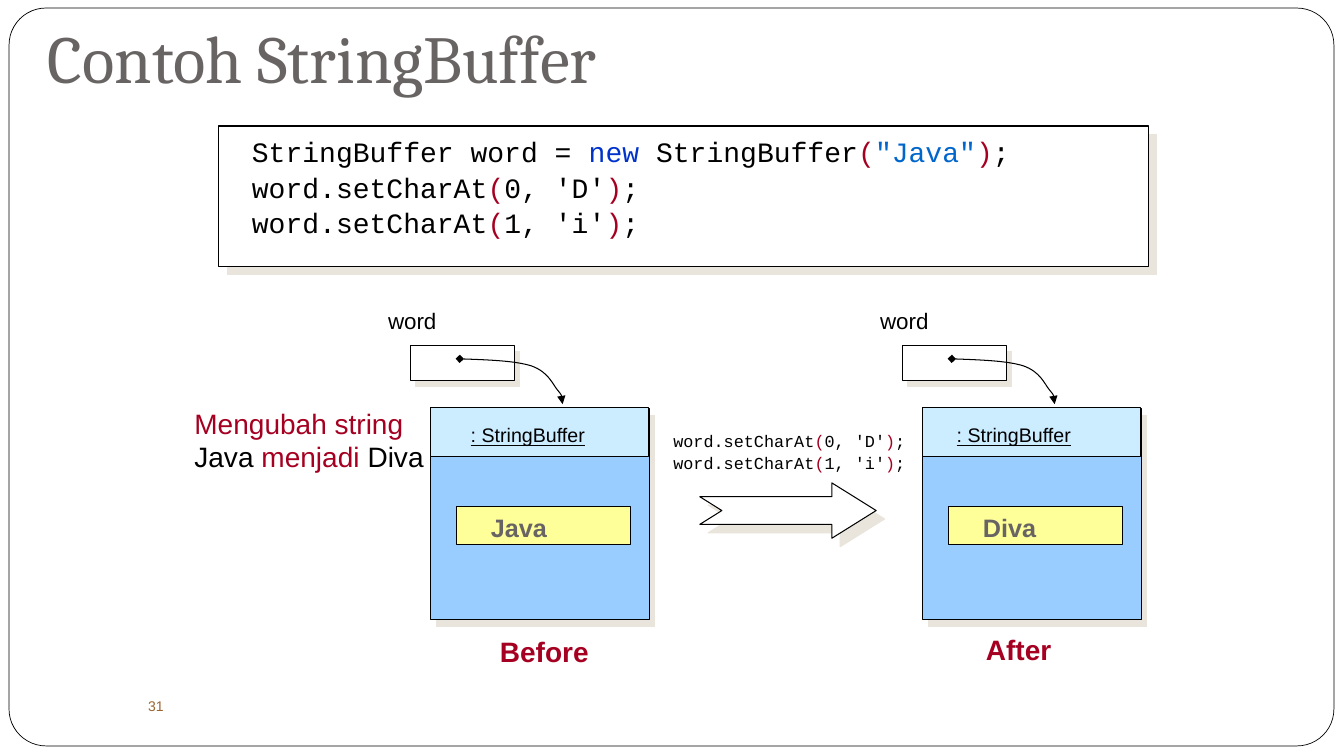
from dataclasses import dataclass
from typing import Any, NamedTuple, Optional

from lxml.etree import SubElement
from pptx import Presentation
from pptx.dml.color import RGBColor
from pptx.enum.shapes import MSO_SHAPE as Preset
from pptx.enum.text import MSO_ANCHOR as Anchor, MSO_AUTO_SIZE as AutoSize, PP_ALIGN as Align
from pptx.oxml.ns import qn
from pptx.util import Inches, Pt

COLORS = {
    "white": "FFFFFF", "black": "000000", "grey": "696464", "brown": "996633",
    "red": "A50021", "keyword": "0033CC", "string": "0066CC", "shadow": "E9E5DC",
    "body": "99CCFF", "header": "CCECFF", "field": "FFFF99",
}
GRID_COLS, GRID_ROWS = 133.3, 75  # ten cells to the inch
STATE_GAP = 48.8                  # columns from the Before state to the After state
ARIAL, CODE = "Arial", "Courier New"


class Box(NamedTuple):
    col: float
    row: float
    cols: float
    rows: float

    def shifted(self, cols: float) -> "Box":
        return self._replace(col=self.col + cols)


class Shadow(NamedTuple):
    points: float
    angle: int


class Span(NamedTuple):
    text: str
    color: str = "black"


Line = list[Span]


@dataclass(frozen=True)
class State:
    shift: float
    value: str
    caption: str
    type_box: Box
    caption_box: Box


STATES = [
    State(0, "Java", "Before", Box(45.7, 41.5, 14.8, 3.3), Box(48.6, 62.5, 10.8, 4.3)),
    State(STATE_GAP, "Diva", "After", Box(93.9, 41.5, 15.4, 3.3), Box(96.8, 62.3, 8.5, 4.3)),
]
# Start of the reference arrow, then three points for each Bézier piece
REFERENCE = [(45.6, 35.6), (48.3, 35.7), (51.1, 35.8), (52.7, 36.3), (54.4, 36.9),
             (54.8, 38.1), (55.3, 38.7), (55.8, 39.3), (55.8, 39.7), (55.8, 40.1)]


def cells(n: float) -> int:
    return Inches(n / 10)


def rgb(name: str) -> RGBColor:
    return RGBColor.from_string(COLORS[name])


def place(box: Box) -> list[int]:
    return [cells(n) for n in box]


def outline(sp: Any, width: float = 0.75) -> None:
    sp.line.color.rgb = rgb("black")
    sp.line.width = Pt(width)


def add_panel(shapes: Any, box: Box, fill: str = "white", shadow: Optional[Shadow] = None,
              preset: Any = Preset.RECTANGLE, adjust: tuple = (), width: float = 0.75) -> Any:
    sp = shapes.add_shape(preset, *place(box))
    for i, value in enumerate(adjust):
        sp.adjustments[i] = value
    sp.fill.solid()
    sp.fill.fore_color.rgb = rgb(fill)
    outline(sp, width)
    sp.shadow.inherit = False
    if shadow:
        effects = sp._element.spPr.find(qn("a:effectLst"))
        cast = SubElement(effects, qn("a:outerShdw"), blurRad="0", algn="ctr", rotWithShape="0",
                          dist=str(Pt(shadow.points)), dir=str(shadow.angle * 60000))
        SubElement(cast, qn("a:srgbClr"), val=COLORS["shadow"])
    return sp


def write(tf: Any, lines: list[Line], code: bool = False, **fmt: Any) -> None:
    for i, line in enumerate(lines):
        p = tf.paragraphs[0] if i == 0 else tf.add_paragraph()
        p.alignment = Align.LEFT
        if code:
            p.line_spacing = 0.9
            p.space_before = Pt(4)
            before = p._p.pPr.find(qn("a:spcBef"))
            before.clear()
            SubElement(before, qn("a:spcPct"), val="20000")
        for span in line:
            r = p.add_run()
            r.text = span.text
            r.font.color.rgb = rgb(span.color)
            for name, value in fmt.items():
                setattr(r.font, name, value)


def add_text(shapes: Any, box: Box, lines: list[Line], size: float, wrap: bool = True,
             name: str = ARIAL, **fmt: Any) -> Any:
    sp = shapes.add_textbox(*place(box))
    sp.text_frame.word_wrap = wrap
    write(sp.text_frame, lines, size=Pt(size), name=name, code=name == CODE, **fmt)
    return sp


def add_reference(shapes: Any, shift: float) -> None:
    points = [(cells(col + shift), cells(row)) for col, row in REFERENCE]
    builder = shapes.build_freeform(*points[0])
    builder.add_line_segments(points[1:], close=False)
    sp = builder.convert_to_shape()
    sp.fill.background()
    outline(sp)
    sp.shadow.inherit = False
    # Join each three straight segments into one Bézier piece
    path = next(sp._element.iter(qn("a:path")))
    segments = path.findall(qn("a:lnTo"))
    for i in range(0, len(segments), 3):
        curve = SubElement(path, qn("a:cubicBezTo"))
        for segment in segments[i:i + 3]:
            curve.append(segment[0])
            path.remove(segment)
    ln = sp.line._get_or_add_ln()
    for end, kind in (("headEnd", "diamond"), ("tailEnd", "triangle")):
        SubElement(ln, qn(f"a:{end}"), type=kind)


def add_state(slide: Any, state: State) -> None:
    shapes = slide.shapes.add_group_shape().shapes
    dx = state.shift
    # Variable and its reference
    add_text(shapes, Box(37.5, 30, 6.8, 3.7).shifted(dx), [[Span("word")]], 16, wrap=False)
    add_panel(shapes, Box(40.7, 34.3, 10.3, 3.5).shifted(dx), shadow=Shadow(5.7, 45))
    add_reference(shapes, dx)
    # Object with its type and value
    add_panel(shapes, Box(42.7, 40.5, 21.7, 21).shifted(dx), "body", Shadow(6.4, 51))
    add_panel(shapes, Box(42.7, 40.4, 21.6, 4.9).shifted(dx), "header")
    label = add_text(shapes, state.type_box, [[Span(": StringBuffer")]], 14, underline=True)
    label.fill.solid()
    label.fill.fore_color.rgb = rgb("header")
    add_panel(shapes, Box(45.3, 50.2, 17.2, 3.8).shifted(dx), "field")
    add_text(shapes, Box(47.7, 50.3, 11.2, 4).shifted(dx),
             [[Span(state.value, "grey")]], 18, bold=True)
    add_text(shapes, state.caption_box, [[Span(state.caption, "red")]], 20,
             wrap=False, bold=True)


def set_char(index: int, letter: str) -> Line:
    return [Span("word.setCharAt"), Span("(", "red"), Span(f"{index}, '{letter}'"),
            Span(")", "red"), Span(";")]


def main() -> None:
    prs = Presentation()
    prs.slide_width, prs.slide_height = cells(GRID_COLS), cells(GRID_ROWS)
    slide = prs.slides.add_slide(prs.slide_layouts[5])
    shapes = slide.shapes

    # Frame and title
    title = shapes.title
    add_panel(shapes, Box(0.9, 0.8, 131.4, 73.2), preset=Preset.ROUNDED_RECTANGLE,
              adjust=(0.05,), width=0.5)
    shapes._spTree.append(title._element)
    title.left, title.top, title.width, title.height = place(Box(3.7, 0.6, 121.3, 10))
    tf = title.text_frame
    layout = {"vertical_anchor": Anchor.BOTTOM, "auto_size": AutoSize.NONE, "word_wrap": True,
              "margin_bottom": cells(1)}
    for name, value in layout.items():
        setattr(tf, name, value)
    write(tf, [[Span("Contoh StringBuffer", "grey")]], size=Pt(48), name="Cambria")

    # Slide number
    number = add_text(shapes, Box(13.7, 67.5, 57.8, 5), [[Span("31", "brown")]], 10)
    number.text_frame.vertical_anchor = Anchor.MIDDLE

    # Code listing
    calls = [set_char(0, "D"), set_char(1, "i")]
    declaration = [Span("StringBuffer word = "), Span("new ", "keyword"), Span("StringBuffer"),
                   Span("(", "red"), Span('"Java"', "string"), Span(")", "red"), Span(";")]
    add_panel(shapes, Box(21.7, 12.5, 92.2, 13.9), shadow=Shadow(8.5, 45))
    add_text(shapes, Box(24, 13.2, 88.8, 11.3), [declaration, *calls], 20, name=CODE)

    # Explanation and transition arrow
    add_text(shapes, Box(18.3, 39.8, 26.7, 7.7),
             [[Span("Mengubah string ", "red"), Span("Java"), Span(" menjadi ", "red"),
               Span("Diva")]], 20)
    add_panel(shapes, Box(69.4, 47.9, 17.5, 5.5), shadow=Shadow(8.5, 45),
              preset=Preset.NOTCHED_RIGHT_ARROW, adjust=(0.5, 0.8))

    # Before and after
    for state in STATES:
        add_state(slide, state)
    add_text(shapes, Box(65.8, 42.5, 25.2, 5), calls, 12, wrap=False, name=CODE)

    prs.save("out.pptx")


if __name__ == "__main__":
    main()
